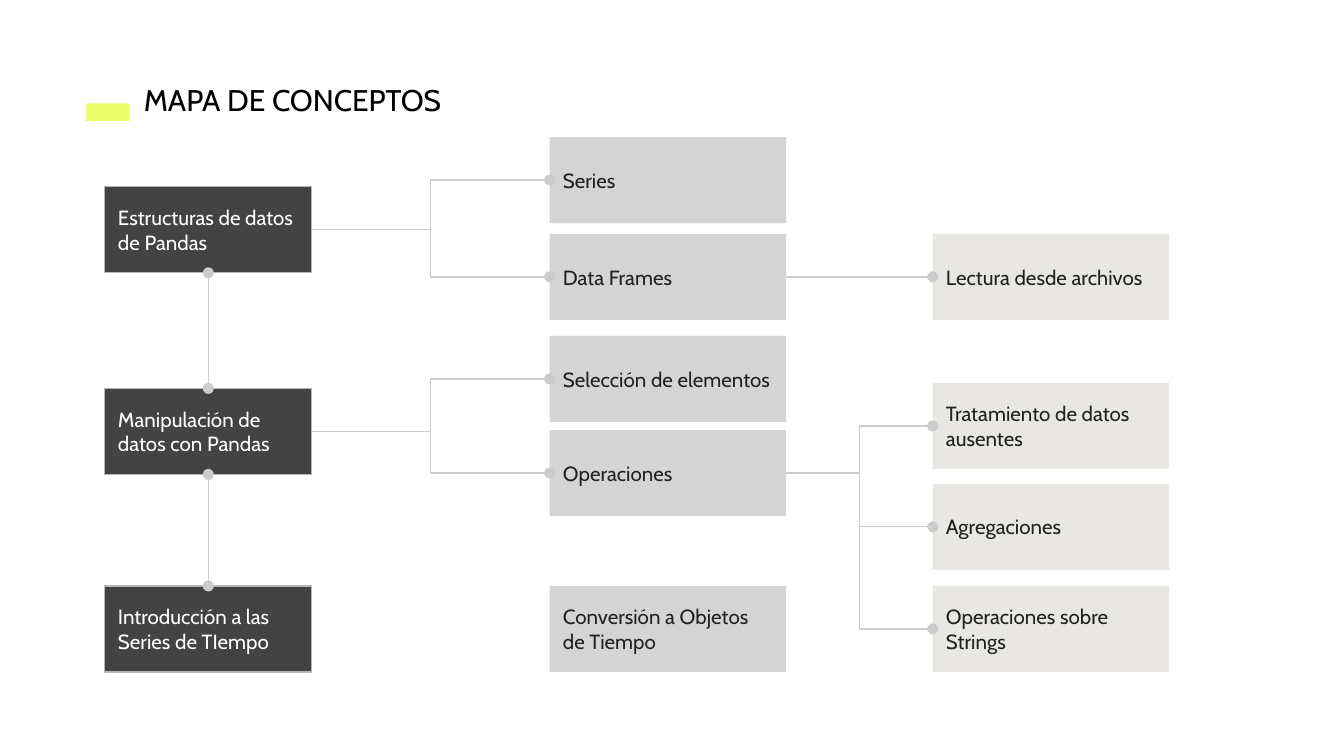
from pptx import Presentation
from pptx.dml.color import RGBColor
from pptx.enum.shapes import MSO_CONNECTOR as Connector, MSO_SHAPE as Shape
from pptx.enum.text import MSO_ANCHOR as Anchor, MSO_AUTO_SIZE as AutoSize, PP_ALIGN as Align
from pptx.oxml.ns import qn
from pptx.util import Inches, Pt
from lxml.etree import SubElement

TITLE = "MAPA DE CONCEPTOS"
FONT = "Cabin"
COLORS = {
    "accent": "EAFF6A", "title": "000000", "white": "FFFFFF", "ink": "222222",
    "dark": "434343", "border": "B7B7B7", "line": "CCCCCC",
    "middle": "D4D4D4", "light": "E8E7E3",
}
PAGE_WIDTH = 10
PAGE_HEIGHT = PAGE_WIDTH * 9 / 16
BOX_HEIGHT = 0.64
COLUMNS = [
    {"left": 0.78, "width": 1.54, "fill": "dark", "text": "white", "border": "border",
     "boxes": [("Estructuras de datos de Pandas", 1.39),
               ("Manipulación de datos con Pandas", 2.89),
               ("Introducción a las Series de TIempo", 4.36)]},
    {"left": 4.09, "width": 1.76, "fill": "middle", "text": "ink", "border": None,
     "boxes": [("Series", 1.02), ("Data Frames", 1.74),
               ("Selección de elementos", 2.5), ("Operaciones", 3.2),
               ("Conversión a Objetos de Tiempo", 4.36)]},
    {"left": 6.94, "width": 1.76, "fill": "light", "text": "ink", "border": None,
     "boxes": [("Lectura desde archivos", 1.74), ("Tratamiento de datos ausentes", 2.85),
               ("Agregaciones", 3.6), ("Operaciones sobre Strings", 4.36)]},
]
BRANCHES = {
    "Estructuras de datos de Pandas": ["Series", "Data Frames"],
    "Manipulación de datos con Pandas": ["Selección de elementos", "Operaciones"],
    "Data Frames": ["Lectura desde archivos"],
    "Operaciones": ["Tratamiento de datos ausentes", "Agregaciones",
                    "Operaciones sobre Strings"],
}
TOP_SITE, LEFT_SITE, BOTTOM_SITE, RIGHT_SITE = range(4)


def color(name):
    return RGBColor.from_string(COLORS[name])


def write(shape, text, size, ink, anchor):
    frame = shape.text_frame
    frame.word_wrap = True
    frame.auto_size = AutoSize.NONE
    frame.vertical_anchor = anchor
    frame.margin_left = frame.margin_right = Inches(0.1)
    frame.margin_top = frame.margin_bottom = Inches(0.1)
    para = frame.paragraphs[0]
    para.alignment = Align.LEFT
    span = para.add_run()
    span.text = text
    span.font.name = FONT
    span.font.size = Pt(size)
    span.font.color.rgb = color(ink)


def add_box(left, top, width, height, fill, border=None):
    box = page.shapes.add_shape(Shape.RECTANGLE, Inches(left), Inches(top),
                                Inches(width), Inches(height))
    box.shadow.inherit = False
    box.fill.solid()
    box.fill.fore_color.rgb = color(fill)
    if border:
        box.line.color.rgb = color(border)
        box.line.width = Pt(0.75)
    else:
        box.line.fill.background()
    return box


def link(kind, start, start_site, end, end_site, dots):
    connector = page.shapes.add_connector(kind, 0, 0, 0, 0)
    connector.begin_connect(start, start_site)
    connector.end_connect(end, end_site)
    connector.line.color.rgb = color("line")
    connector.line.width = Pt(0.75)
    properties = connector._element.spPr
    for dot in dots:
        SubElement(properties.find(qn("a:ln")), qn(dot), type="oval")
    SubElement(properties, qn("a:effectLst"))


deck = Presentation()
deck.slide_width, deck.slide_height = Inches(PAGE_WIDTH), Inches(PAGE_HEIGHT)
page = deck.slides.add_slide(deck.slide_layouts[5])

add_box(0.64, 0.77, 0.32, 0.13, "accent")
title = page.shapes.title
title.left, title.top = Inches(0.97), Inches(0.51)
title.width, title.height = Inches(2.69), Inches(0.47)
write(title, TITLE, 16, "title", Anchor.TOP)

boxes = {}
for column in COLUMNS:
    for text, top in column["boxes"]:
        boxes[text] = add_box(column["left"], top, column["width"], BOX_HEIGHT,
                              column["fill"], column["border"])
        write(boxes[text], text, 11, column["text"], Anchor.MIDDLE)

topics = [boxes[text] for text, top in COLUMNS[0]["boxes"]]
for upper, lower in zip(topics, topics[1:]):
    link(Connector.STRAIGHT, upper, BOTTOM_SITE, lower, TOP_SITE, ["a:headEnd", "a:tailEnd"])

for parent, children in BRANCHES.items():
    for child in children:
        link(Connector.ELBOW, boxes[parent], RIGHT_SITE, boxes[child], LEFT_SITE, ["a:tailEnd"])

deck.save("out.pptx")
